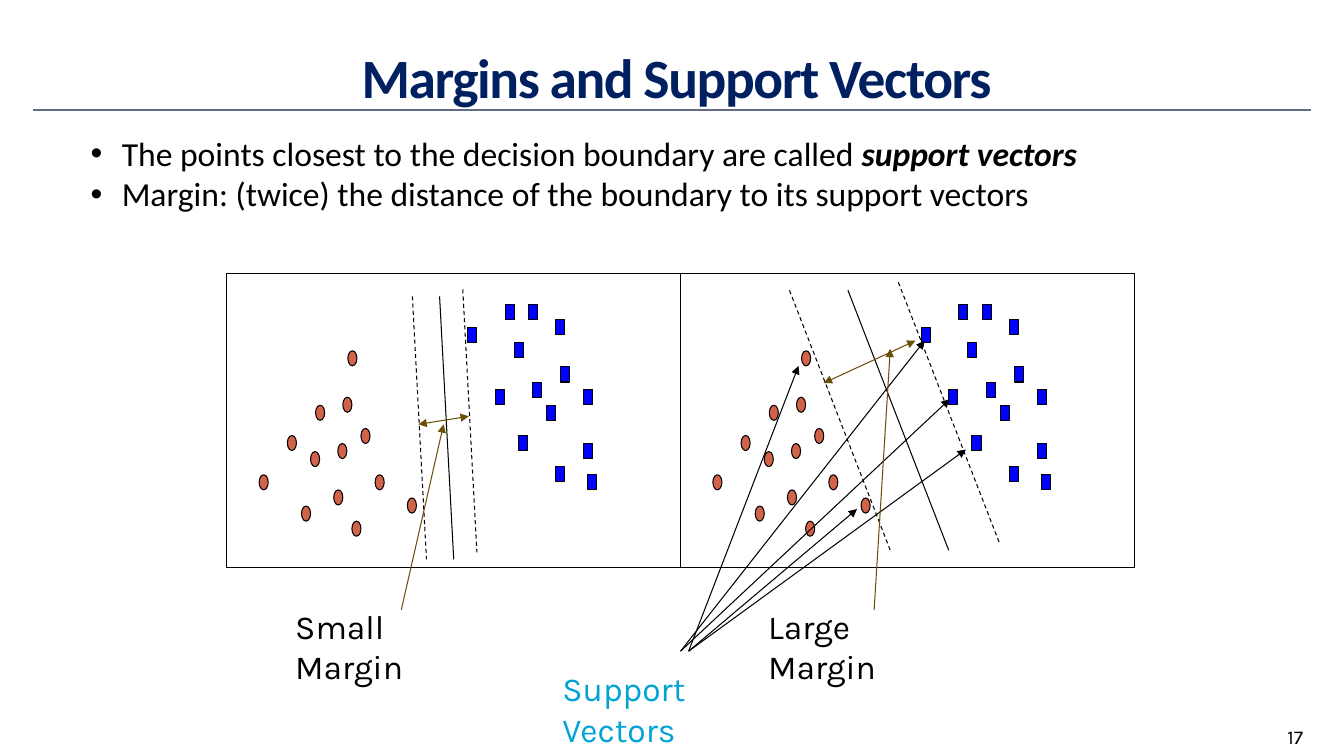
import pptx
import pptx.dml.color
import pptx.enum.dml
import pptx.enum.shapes
import pptx.enum.text
import pptx.oxml.ns
import pptx.util
from lxml import etree

PX = 9144  # EMU in one px, 100 px to the inch
MARKER_SIZE = (9, 15)
PANEL_SIZE = (450, 292)
PANEL_LEFT, PANEL_TOP = 225, 271
BLACK, NAVY, RULE, CYAN = "000000", "002060", "646B86", "00A3D6"
RED, BLUE, BROWN = "D16349", "0000FF", "694F07"

TITLE = "Margins and Support Vectors"
BULLETS = [
    [("The points closest to the decision boundary are called ", False),
     ("support vectors", True)],
    [("Margin: (twice) the distance of the boundary to its support vectors", False)],
]
PAGE_NUMBER = "17"

# Left and top of each marker in the left panel; the right panel repeats them
RED_POINTS = [
    (299, 502), (308, 448), (257, 471), (285, 432), (331, 486), (313, 402), (335, 440),
    (340, 394), (358, 425), (372, 471), (349, 517), (404, 494), (345, 348),
]
BLUE_POINTS = [
    (491, 386), (464, 325), (501, 302), (514, 432), (510, 340), (528, 379), (524, 302),
    (551, 317), (542, 402), (556, 364), (551, 463), (579, 386), (579, 440), (583, 471),
]

# Per panel: start points of its lines, whether dashed, and their common run
BOUNDARIES = [
    {"starts": [(459, 287, True), (409, 294, True), (436, 294, False)], "run": (14, 261)},
    {"starts": [(783, 288, True), (891, 280, True), (841, 288, False)], "run": (100, 258)},
]

SUPPORT_ARROWS = [
    (675, 646, 917, 338), (675, 646, 942, 396), (683, 646, 958, 446),
    (683, 646, 850, 505), (683, 646, 792, 363),
]
MARGINS = [
    {"label": "Small Margin", "box": (283, 596, 210, 50),
     "width": (415, 421, 465, 413), "pointer": (398, 605, 440, 421)},
    {"label": "Large Margin", "box": (752, 596, 212, 50),
     "width": (817, 380, 908, 338), "pointer": (867, 605, 883, 346)},
]

presentation = pptx.Presentation()
presentation.slide_width, presentation.slide_height = 1333 * PX, 750 * PX
slide = presentation.slides.add_slide(presentation.slide_layouts[6])


def px(*lengths):
    return [pptx.util.Emu(length * PX) for length in lengths]


def color(value):
    return pptx.dml.color.RGBColor.from_string(value)


def add_text(paragraphs, box, size=24, font="Calibri", fill=BLACK, bold=False,
             align=None, anchor="TOP", spacing=0, bullet=False):
    """Add a text box; each paragraph is a list of (text, emphasized) runs."""
    frame = slide.shapes.add_textbox(*px(*box)).text_frame
    frame.word_wrap = True
    frame.vertical_anchor = pptx.enum.text.MSO_ANCHOR[anchor]
    for index, runs in enumerate(paragraphs):
        paragraph = frame.add_paragraph() if index else frame.paragraphs[0]
        if align:
            paragraph.alignment = pptx.enum.text.PP_ALIGN[align]
        if bullet:
            properties = paragraph._p.get_or_add_pPr()
            properties.set("marL", str(31 * PX))
            properties.set("indent", str(-31 * PX))
            etree.SubElement(properties, pptx.oxml.ns.qn("a:buFont"), typeface="Arial")
            etree.SubElement(properties, pptx.oxml.ns.qn("a:buChar"), char="•")
        for text, emphasized in runs:
            run = paragraph.add_run()
            run.text = text
            run.font.size, run.font.name = pptx.util.Pt(size), font
            run.font.bold, run.font.italic = bold or emphasized, emphasized
            run.font.color.rgb = color(fill)
            if spacing:
                run.font._element.set("spc", str(spacing * 100))


def add_outlined(kind, box, fill=None):
    shape = slide.shapes.add_shape(pptx.enum.shapes.MSO_SHAPE[kind], *px(*box))
    shape.shadow.inherit = False
    if fill:
        shape.fill.solid()
        shape.fill.fore_color.rgb = color(fill)
    else:
        shape.fill.background()
    shape.line.color.rgb = color(BLACK)
    shape.line.width = pptx.util.Pt(0.75)


def add_line(ends, stroke=BLACK, weight=0.75, dashed=False, arrows=()):
    """Add a straight line; arrows may hold headEnd (start) and tailEnd (finish)."""
    line = slide.shapes.add_connector(pptx.enum.shapes.MSO_CONNECTOR.STRAIGHT, *px(*ends))
    line.line.color.rgb = color(stroke)
    line.line.width = pptx.util.Pt(weight)
    if dashed:
        line.line.dash_style = pptx.enum.dml.MSO_LINE.DASH
    outline = line.line._get_or_add_ln()
    for arrow in arrows:
        etree.SubElement(outline, pptx.oxml.ns.qn("a:" + arrow), type="triangle")
    etree.SubElement(line._element.spPr, pptx.oxml.ns.qn("a:effectLst"))


add_line((33, 109, 1300, 109), stroke=RULE, weight=1.5)
add_text([[(PAGE_NUMBER, False)]], (1267, 714, 67, 36), size=14, font="Karla")
add_text([[(TITLE, False)]], (200, 42, 942, 67), size=39.6, fill=NAVY, bold=True,
         align="CENTER", anchor="MIDDLE", spacing=-1)

for panel, boundary in enumerate(BOUNDARIES):
    shift = panel * PANEL_SIZE[0]
    for kind, fill, points in (("OVAL", RED, RED_POINTS), ("RECTANGLE", BLUE, BLUE_POINTS)):
        for left, top in points:
            add_outlined(kind, (left + shift, top, *MARKER_SIZE), fill)
    add_outlined("RECTANGLE", (PANEL_LEFT + shift, PANEL_TOP, *PANEL_SIZE))
    run_x, run_y = boundary["run"]
    for x, y, dashed in boundary["starts"]:
        add_line((x, y, x + run_x, y + run_y), dashed=dashed)

add_text([[("Support Vectors", False)]], (548, 658, 255, 50), font="Karla", fill=CYAN)
for ends in SUPPORT_ARROWS:
    add_line(ends, arrows=["tailEnd"])

for margin in MARGINS:
    add_text([[(margin["label"], False)]], margin["box"], font="Karla")
    add_line(margin["width"], stroke=BROWN, arrows=["headEnd", "tailEnd"])
    add_line(margin["pointer"], stroke=BROWN, arrows=["tailEnd"])

add_text(BULLETS, (80, 127, 1004, 91), bullet=True)

presentation.save("out.pptx")
